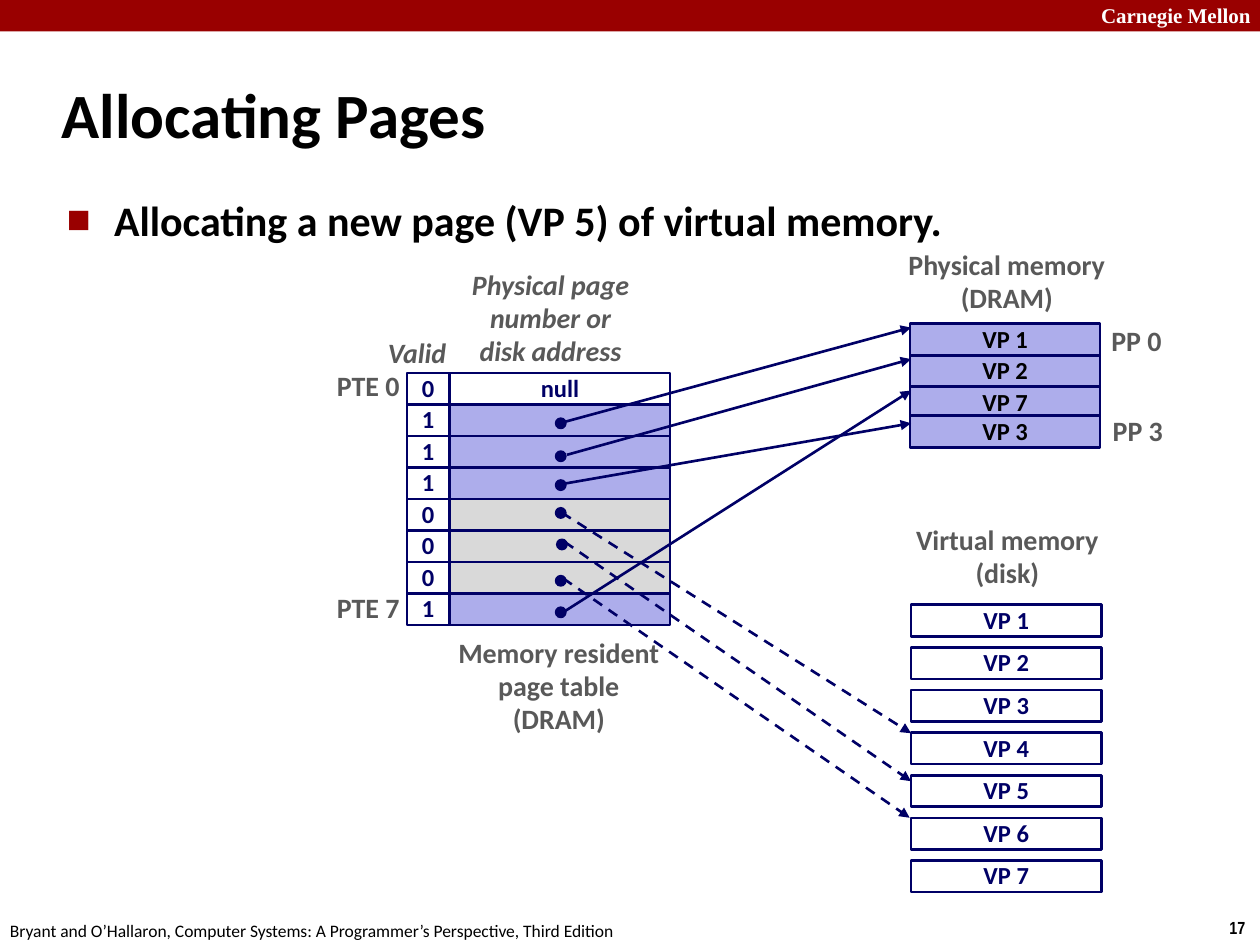
"""Build a slide showing a page table that maps virtual pages to memory and disk."""
from lxml.etree import SubElement
from pptx import Presentation
from pptx.dml.color import RGBColor
from pptx.enum.dml import MSO_LINE
from pptx.enum.shapes import MSO_CONNECTOR, MSO_SHAPE
from pptx.enum.text import MSO_ANCHOR, MSO_AUTO_SIZE, PP_ALIGN
from pptx.oxml.ns import qn
from pptx.util import Pt

RED = RGBColor(0x99, 0x00, 0x00)
NAVY = RGBColor(0x00, 0x00, 0x66)
LAVENDER = RGBColor(0xAD, 0xAD, 0xEB)
LIGHT_GRAY = RGBColor(0xD9, 0xD9, 0xD9)
DARK_GRAY = RGBColor(0x59, 0x59, 0x59)
WHITE = RGBColor(0xFF, 0xFF, 0xFF)
BLACK = RGBColor(0x00, 0x00, 0x00)

TITLE = "Allocating Pages"
BULLET = "Allocating a new page (VP 5) of virtual memory."
ENTRIES = [("0", "null"), ("1", ""), ("1", ""), ("1", ""),
           ("0", ""), ("0", ""), ("0", ""), ("1", "")]
MEMORY = [("VP 1", 185), ("VP 2", 203), ("VP 7", 221), ("VP 3", 237.6)]
DISK = [f"VP {n}" for n in range(1, 8)]

C, L, R = PP_ALIGN.CENTER, PP_ALIGN.LEFT, PP_ALIGN.RIGHT
LABELS = [
    ("Memory resident\npage table\n(DRAM)", (252.7, 360.7, 133.2, 64.1), C, False),
    ("Physical memory\n(DRAM)", (511.2, 139, 128.2, 45.4), C, False),
    ("Virtual memory\n(disk)", (514.8, 295.9, 121.7, 45.4), C, False),
    ("Physical page\nnumber or\ndisk address", (262.1, 150.5, 105.1, 64.1), C, True),
    ("Valid", (214.6, 189.4, 54, 26.6), L, True),
    ("PTE 0", (185, 208.1, 50.4, 26.6), R, False),
    ("PTE 7", (185, 334.8, 50.4, 26.6), R, False),
    ("PP 0", (627.8, 182.2, 43.2, 26.6), C, False),
    ("PP 3", (628.6, 234, 43.2, 26.6), C, False),
]
FURNITURE = [
    ("Carnegie Mellon", (622.1, -2.2, 103, 21.6),
     dict(size=12, font="Times New Roman", color=WHITE)),
    ("17", (695.5, 520.6, 24.5, 19.4), dict(size=10, font="Arial Narrow")),
    ("Bryant and O’Hallaron, Computer Systems: A Programmer’s Perspective, Third Edition",
     (-1.4, 522, 365.8, 19.4), dict(size=10, bold=False)),
]
POINTERS = [
    ((317.5, 239), (319.7, 241.9), (520.6, 187.2), False),
    ((317.5, 257.8), (324, 259.9), (520.6, 205.2), False),
    ((317.5, 274.3), (321.8, 276.5), (520.6, 241.9), False),
    ((317.5, 290.2), (321.1, 293), (520.6, 419), True),
    ((318.2, 308.2), (322.6, 309.6), (520.6, 446.4), True),
    ((317.5, 329), (321.8, 330.5), (519.8, 467.3), True),
    ((317.5, 347), (321.8, 349.9), (520.6, 223.2), False),
]
TABLE_TOP, ROW, DISK_TOP, DISK_STEP, DOT = 213.1, 18, 345.6, 24.36, 5.8


def write(tf, text, size=14, font="Calibri", color=BLACK, bold=True,
          italic=False, align=L, spacing=1.0, wrap=False, anchor=MSO_ANCHOR.TOP):
    tf.word_wrap, tf.vertical_anchor = wrap, anchor
    tf.auto_size = MSO_AUTO_SIZE.NONE
    for i, line in enumerate(text.split("\n")):
        p = tf.add_paragraph() if i else tf.paragraphs[0]
        p.alignment, p.line_spacing, p.space_before = align, spacing, Pt(0)
        r = p.add_run()
        r.text = line
        r.font.size, r.font.name = Pt(size), font
        r.font.bold, r.font.italic = bold, italic
        r.font.color.rgb = color


def place(sp, box):
    sp.left, sp.top, sp.width, sp.height = map(Pt, box)


def add_text(s, text, box, **fmt):
    write(s.shapes.add_textbox(*map(Pt, box)).text_frame, text, **fmt)


def add_box(s, box, fill, text="", color=NAVY, kind=MSO_SHAPE.RECTANGLE,
            line=NAVY, weight=1.5):
    sp = s.shapes.add_shape(kind, *map(Pt, box))
    sp.shadow.inherit = False
    sp.fill.solid()
    sp.fill.fore_color.rgb = fill
    if line is None:
        sp.line.fill.background()
    else:
        sp.line.color.rgb, sp.line.width = line, Pt(weight)
    if text:
        write(sp.text_frame, text, color=color, align=C, spacing=0.98,
              anchor=MSO_ANCHOR.MIDDLE)


def add_arrow(s, start, end, dashed):
    cx = s.shapes.add_connector(MSO_CONNECTOR.STRAIGHT, *map(Pt, start + end))
    cx.line.color.rgb, cx.line.width = NAVY, Pt(1.5)
    if dashed:
        cx.line.dash_style = MSO_LINE.DASH
    SubElement(cx.line._get_or_add_ln(), qn("a:tailEnd"), type="triangle")
    SubElement(cx._element.spPr, qn("a:effectLst"))


def add_bullet(p, color):
    pPr = p._p.get_or_add_pPr()
    pPr.set("marL", str(Pt(27)))
    pPr.set("indent", str(-Pt(27)))
    SubElement(SubElement(pPr, qn("a:buClr")), qn("a:srgbClr"), val=str(color))
    SubElement(pPr, qn("a:buSzPct"), val="60000")
    SubElement(pPr, qn("a:buFont"), typeface="Calibri")
    SubElement(pPr, qn("a:buChar"), char="■")


def main():
    prs = Presentation()
    prs.slide_width, prs.slide_height = Pt(720), Pt(540)
    s = prs.slides.add_slide(prs.slide_layouts[1])

    title, body = s.placeholders
    place(title, (28.1, 34.6, 597.6, 59.8))
    write(title.text_frame, TITLE, size=36, wrap=True, anchor=MSO_ANCHOR.MIDDLE)
    place(body, (31, 107.3, 622.1, 391.7))
    write(body.text_frame, BULLET, size=24, wrap=True)
    add_bullet(body.text_frame.paragraphs[0], RED)

    add_box(s, (0, 0, 720, 18), RED, line=None)
    for text, box, fmt in FURNITURE:
        add_text(s, text, box, **fmt)

    for i, (valid, address) in enumerate(ENTRIES):
        y = TABLE_TOP + i * ROW
        fill = WHITE if address else LAVENDER if valid == "1" else LIGHT_GRAY
        add_box(s, (257, y, 126, ROW), fill, address)
        add_box(s, (232.6, y, 24, ROW), WHITE, valid)
    for text, y in MEMORY:
        add_box(s, (520, y, 108.7, ROW), LAVENDER, text, color=BLACK)
    for i, text in enumerate(DISK):
        add_box(s, (520.6, DISK_TOP + i * DISK_STEP, 108.7, ROW), WHITE, text)

    for text, box, align, italic in LABELS:
        add_text(s, text, box, size=16, color=DARK_GRAY, align=align,
                 italic=italic, spacing=0.98)
    for dot, start, end, dashed in POINTERS:
        add_arrow(s, start, end, dashed)
        add_box(s, dot + (DOT, DOT), NAVY, kind=MSO_SHAPE.OVAL, weight=1)

    prs.save("out.pptx")


if __name__ == "__main__":
    main()
